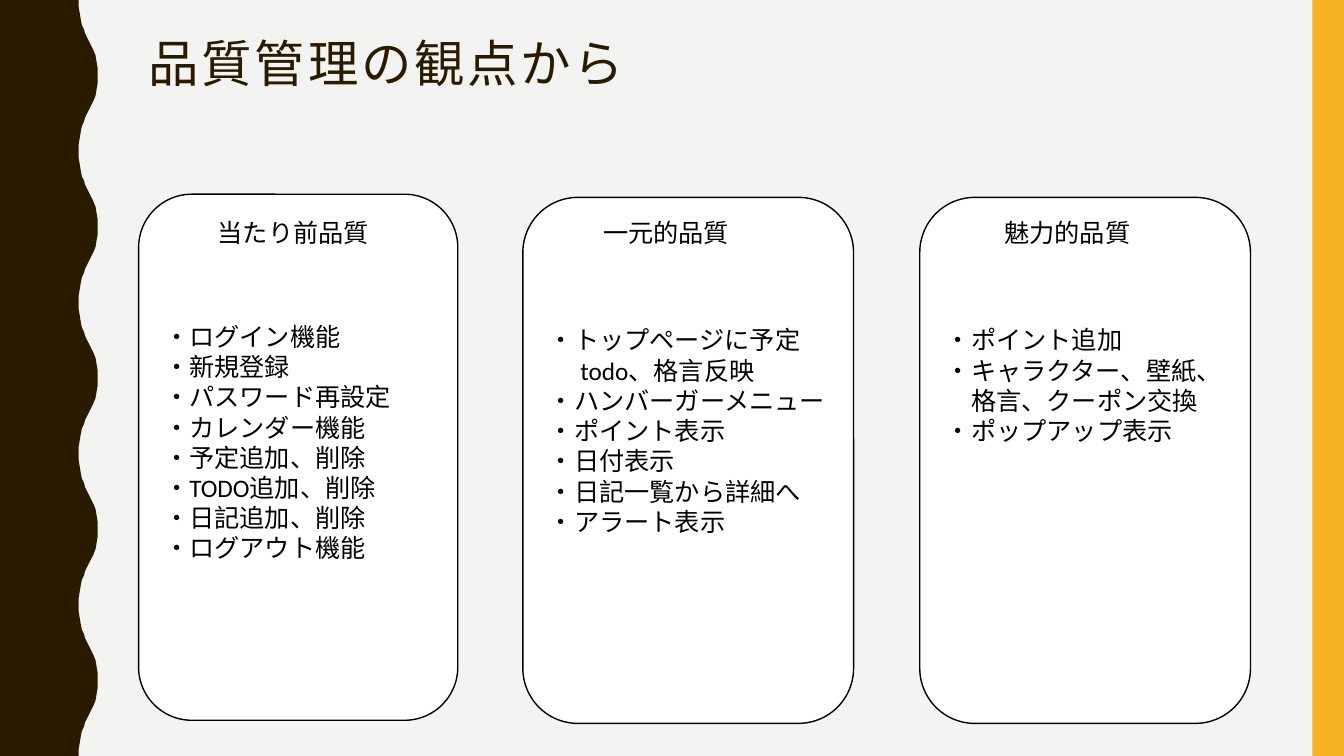
"""Build a slide that sorts features into three quality categories."""
from dataclasses import dataclass

from pptx import Presentation
from pptx.dml.color import RGBColor
from pptx.enum.shapes import MSO_SHAPE
from pptx.enum.text import MSO_ANCHOR, PP_ALIGN
from pptx.util import Emu, Pt

RECTANGLE = MSO_SHAPE.RECTANGLE
ROUNDED = MSO_SHAPE.ROUNDED_RECTANGLE
TOP = MSO_ANCHOR.TOP
LEFT = PP_ALIGN.LEFT

EMU_PER_PX = 9525
BLANK_LAYOUT = 6
SLIDE_WIDTH, SLIDE_HEIGHT = 1280, 720
WAVE_PERIOD = 144
HALF_WAVE = (
    (75, 0), (75, 7), (76, 13), (77, 19), (78, 24), (80, 28), (81, 32), (83, 36),
    (85, 40), (87, 44), (89, 48), (91, 53), (92, 59), (93, 65), (93, 72),
)


@dataclass(frozen=True)
class Theme:
    """Colours, fonts and type sizes of the slide."""
    background: RGBColor = RGBColor(0xF3, 0xF3, 0xF2)
    brown: RGBColor = RGBColor(0x2A, 0x1A, 0x00)
    amber: RGBColor = RGBColor(0xF8, 0xB3, 0x23)
    white: RGBColor = RGBColor(0xFF, 0xFF, 0xFF)
    black: RGBColor = RGBColor(0x00, 0x00, 0x00)
    title_font: str = "Roboto Condensed"
    body_font: str = "Calibri"
    title_size: int = 36
    body_size: int = 18
    title_spacing: int = 200


@dataclass(frozen=True)
class Box:
    """A rectangle in px."""
    left: int
    top: int
    width: int
    height: int


@dataclass(frozen=True)
class Line:
    """One line of a card with its left indent in px."""
    text: str
    indent: int = 0


@dataclass(frozen=True)
class Card:
    """A quality category with its features."""
    heading: str
    heading_left: int
    box: Box
    lines: tuple[Line, ...]


THEME = Theme()
TITLE_BOX = Box(132, 32, 1068, 74)
AMBER_BAR = Box(1250, 0, 30, SLIDE_HEIGHT)
HEADING_TOP, HEADING_WIDTH, HEADING_HEIGHT = 202, 171, 38
CARD_TOP_MARGIN = 106
CARDS = (
    Card("当たり前品質", 198, Box(132, 185, 304, 501), (
        Line("・ログイン機能"), Line("・新規登録"), Line("・パスワード再設定"),
        Line("・カレンダー機能"), Line("・予定追加、削除"), Line("・TODO追加、削除"),
        Line("・日記追加、削除"), Line("・ログアウト機能"),
    )),
    Card("一元的品質", 565, Box(498, 188, 315, 501), (
        Line("・トップページに予定"), Line("todo、格言反映", 30),
        Line("・ハンバーガーメニュー"), Line("・ポイント表示"), Line("・日付表示"),
        Line("・日記一覧から詳細へ"), Line("・アラート表示"),
    )),
    Card("魅力的品質", 947, Box(876, 188, 315, 501), (
        Line("・ポイント追加"), Line("・キャラクター、壁紙、"),
        Line("格言、クーポン交換", 24), Line("・ポップアップ表示"),
    )),
)


def px(length: int) -> Emu:
    """Turn px into EMU."""
    return Emu(length * EMU_PER_PX)


def place(box: Box) -> tuple[Emu, Emu, Emu, Emu]:
    """Return a box as left, top, width and height in EMU."""
    return px(box.left), px(box.top), px(box.width), px(box.height)


def paint(shape, color: RGBColor) -> None:
    """Fill a shape without outline or shadow."""
    shape.shadow.inherit = False
    shape.fill.solid()
    shape.fill.fore_color.rgb = color
    shape.line.fill.background()


def style(paragraph, font: str, size: int, color: RGBColor) -> None:
    """Set the font and left alignment of a paragraph."""
    paragraph.alignment = LEFT
    paragraph.font.name = font
    paragraph.font.size = Pt(size)
    paragraph.font.color.rgb = color


def add_text(page, box: Box, text: str, font: str, size: int, color: RGBColor):
    """Add a wrapped one-line text box and return its paragraph."""
    frame = page.shapes.add_textbox(*place(box)).text_frame
    frame.word_wrap = True
    frame.vertical_anchor = TOP
    paragraph = frame.paragraphs[0]
    paragraph.add_run().text = text
    style(paragraph, font, size, color)
    return paragraph


def add_wave(page) -> None:
    """Draw the brown wavy band along the left edge."""
    mirrored = [(x, WAVE_PERIOD - y) for x, y in reversed(HALF_WAVE[:-1])]
    period = [*HALF_WAVE, *mirrored]
    edge = [(x, y + start) for start in range(0, SLIDE_HEIGHT, WAVE_PERIOD)
            for x, y in period]
    builder = page.shapes.build_freeform(0, 0, scale=EMU_PER_PX)
    builder.add_line_segments([*edge, (0, SLIDE_HEIGHT)], close=True)
    paint(builder.convert_to_shape(), THEME.brown)


def add_title(page) -> None:
    """Add the letter-spaced slide title."""
    paragraph = add_text(page, TITLE_BOX, "品質管理の観点から",
                         THEME.title_font, THEME.title_size, THEME.brown)
    paragraph.line_spacing = 0.9
    for span in paragraph.runs:
        span._r.get_or_add_rPr().set("spc", str(THEME.title_spacing))


def add_card(page, card: Card) -> None:
    """Draw a rounded card with its feature lines and heading."""
    shape = page.shapes.add_shape(ROUNDED, *place(card.box))
    paint(shape, THEME.white)
    shape.line.color.rgb = THEME.black
    shape.line.width = Pt(1)
    frame = shape.text_frame
    frame.word_wrap = True
    frame.vertical_anchor = TOP
    frame.margin_top = px(CARD_TOP_MARGIN)
    for index, line in enumerate(card.lines):
        paragraph = frame.add_paragraph() if index else frame.paragraphs[0]
        paragraph.text = line.text
        style(paragraph, THEME.body_font, THEME.body_size, THEME.black)
        if line.indent:
            paragraph._p.get_or_add_pPr().set("marL", str(px(line.indent)))
    heading_box = Box(card.heading_left, HEADING_TOP, HEADING_WIDTH, HEADING_HEIGHT)
    add_text(page, heading_box, card.heading,
             THEME.body_font, THEME.body_size, THEME.black)


def main() -> None:
    """Build and save the deck."""
    deck = Presentation()
    deck.slide_width, deck.slide_height = px(SLIDE_WIDTH), px(SLIDE_HEIGHT)
    page = deck.slides.add_slide(deck.slide_layouts[BLANK_LAYOUT])
    page.background.fill.solid()
    page.background.fill.fore_color.rgb = THEME.background
    add_wave(page)
    paint(page.shapes.add_shape(RECTANGLE, *place(AMBER_BAR)), THEME.amber)
    add_title(page)
    for card in CARDS:
        add_card(page, card)
    deck.save("out.pptx")


if __name__ == "__main__":
    main()
